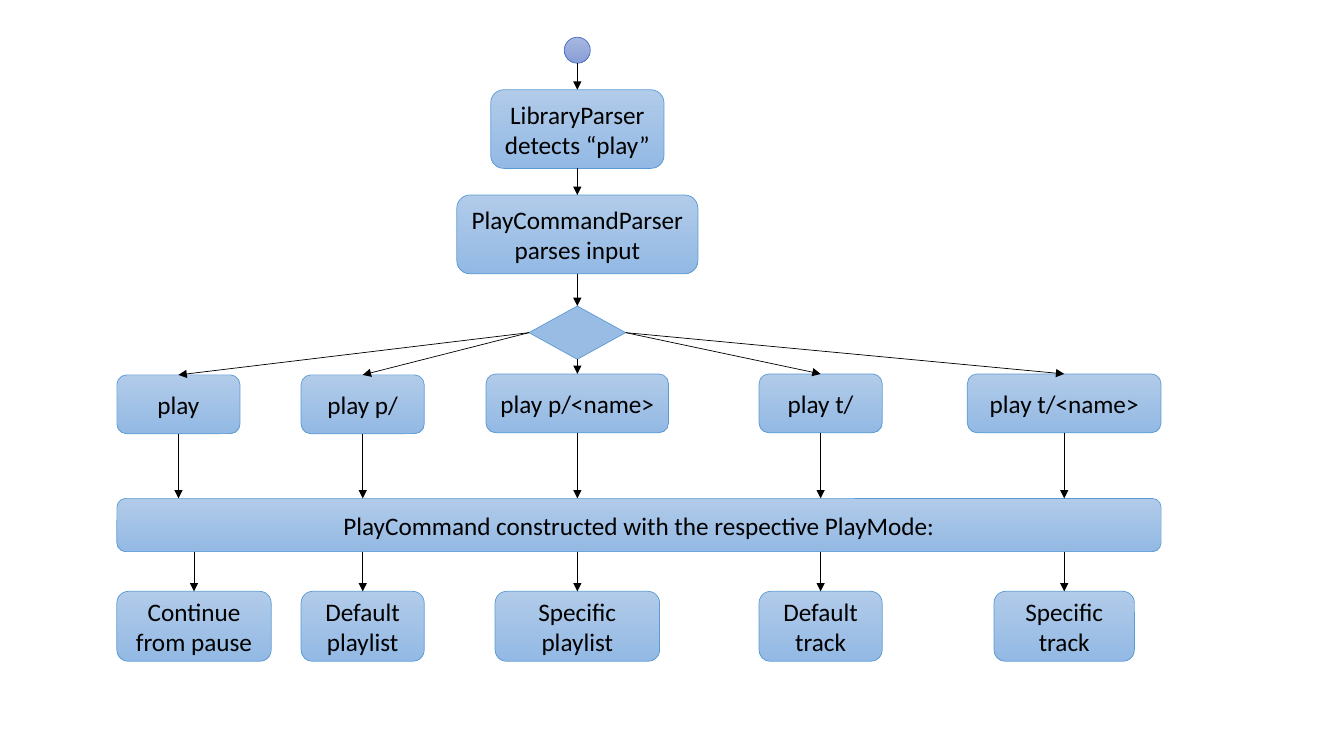
from lxml.etree import SubElement
from pptx import Presentation
from pptx.dml.color import RGBColor
from pptx.enum.shapes import MSO_CONNECTOR, MSO_SHAPE
from pptx.enum.text import MSO_ANCHOR, PP_ALIGN
from pptx.oxml.ns import qn
from pptx.util import Pt

BLACK = RGBColor(0x00, 0x00, 0x00)
BLUE_LINE = RGBColor(0x5B, 0x9B, 0xD5)
BLUE_LIGHT = RGBColor(0xB1, 0xCB, 0xE9)
BLUE_DARK = RGBColor(0x93, 0xB9, 0xE4)
DIAMOND_FILL = RGBColor(0x99, 0xBC, 0xE4)
START_LINE = RGBColor(0x44, 0x72, 0xC4)
START_LIGHT = RGBColor(0xA8, 0xB7, 0xDF)
START_DARK = RGBColor(0x88, 0x9E, 0xD7)

TOP, LEFT, BOTTOM, RIGHT = range(4)
MAIN_X = 412.4
BAR_LEFT, BAR_TOP, BAR_WIDTH, BAR_HEIGHT = 83.5, 356, 745.9, 38
OPTION_HEIGHT = 42
MODE_TOP, MODE_HEIGHT = 422.4, 50

presentation = Presentation()
presentation.slide_width = Pt(960)
presentation.slide_height = Pt(540)
slide = presentation.slides.add_slide(presentation.slide_layouts[6])


def add_node(text, center, top, width, height, kind=MSO_SHAPE.ROUNDED_RECTANGLE,
             colors=(BLUE_LIGHT, BLUE_DARK), outline=BLUE_LINE, size=18, margin=3.6):
    shape = slide.shapes.add_shape(
        kind, Pt(center - width / 2), Pt(top), Pt(width), Pt(height))
    shape.shadow.inherit = False
    if len(colors) == 1:
        shape.fill.solid()
        shape.fill.fore_color.rgb = colors[0]
    else:
        shape.fill.gradient()
        shape.fill.gradient_angle = 270
        for stop, color in zip(shape.fill.gradient_stops, colors):
            stop.color.rgb = color
    shape.line.color.rgb = outline
    shape.line.width = Pt(0.5)
    if text:
        frame = shape.text_frame
        frame.word_wrap = True
        frame.vertical_anchor = MSO_ANCHOR.MIDDLE
        frame.margin_top = frame.margin_bottom = Pt(margin)
        paragraph = frame.paragraphs[0]
        paragraph.alignment = PP_ALIGN.CENTER
        run = paragraph.add_run()
        run.text = text
        run.font.name = "Calibri"
        run.font.size = Pt(size)
        run.font.color.rgb = BLACK
    return shape


def add_arrow(x, top, bottom, source=None, target=None):
    connector = slide.shapes.add_connector(
        MSO_CONNECTOR.STRAIGHT, Pt(x), Pt(top), Pt(x), Pt(bottom))
    if source:
        connector.begin_connect(*source)
    if target:
        connector.end_connect(*target)
    connector.line.color.rgb = BLACK
    connector.line.width = Pt(0.5)
    SubElement(connector.line._get_or_add_ln(), qn("a:tailEnd"), type="triangle")
    SubElement(connector._element.spPr, qn("a:effectLst"))


add_node("", MAIN_X, 26.6, 18.6, 18.6, kind=MSO_SHAPE.OVAL,
         colors=(START_LIGHT, START_DARK), outline=START_LINE)
library_parser = add_node("LibraryParser detects “play”", MAIN_X, 64.1, 123.8, 56.2)
command_parser = add_node("PlayCommandParser parses input", MAIN_X, 139.3, 172.2, 56.2)
decision = add_node("", MAIN_X, 218.6, 69, 38, kind=MSO_SHAPE.DIAMOND,
                    colors=(DIAMOND_FILL,))
add_node("PlayCommand constructed with the respective PlayMode:",
         BAR_LEFT + BAR_WIDTH / 2, BAR_TOP, BAR_WIDTH, BAR_HEIGHT)

add_arrow(MAIN_X, 45.2, 64.1, target=(library_parser, TOP))
for upper, lower in ((library_parser, command_parser), (command_parser, decision)):
    add_arrow(MAIN_X, 0, 0, source=(upper, BOTTOM), target=(lower, TOP))

branches = [
    ("play", 127.5, 267.8, 88, LEFT, "Continue from pause", 138.6, 110.3),
    ("play p/", 259.1, 267.8, 88, LEFT, "Default playlist", 259.1, 88),
    ("play p/<name>", MAIN_X, 267.1, 130.4, BOTTOM, "Specific playlist", MAIN_X, 117.5),
    ("play t/", 586.2, 267.1, 88, RIGHT, "Default track", 586.2, 88),
    ("play t/<name>", 760.2, 267.1, 138.4, RIGHT, "Specific track", 760.2, 100.3),
]
for option, option_x, option_top, option_width, exit_side, mode, mode_x, mode_width in branches:
    option_box = add_node(option, option_x, option_top, option_width, OPTION_HEIGHT)
    mode_box = add_node(mode, mode_x, MODE_TOP, mode_width, MODE_HEIGHT, margin=0)
    add_arrow(option_x, 0, 0, source=(decision, exit_side), target=(option_box, TOP))
    add_arrow(option_x, 0, BAR_TOP, source=(option_box, BOTTOM))
    add_arrow(mode_x, BAR_TOP + BAR_HEIGHT, 0, target=(mode_box, TOP))

presentation.save("out.pptx")
